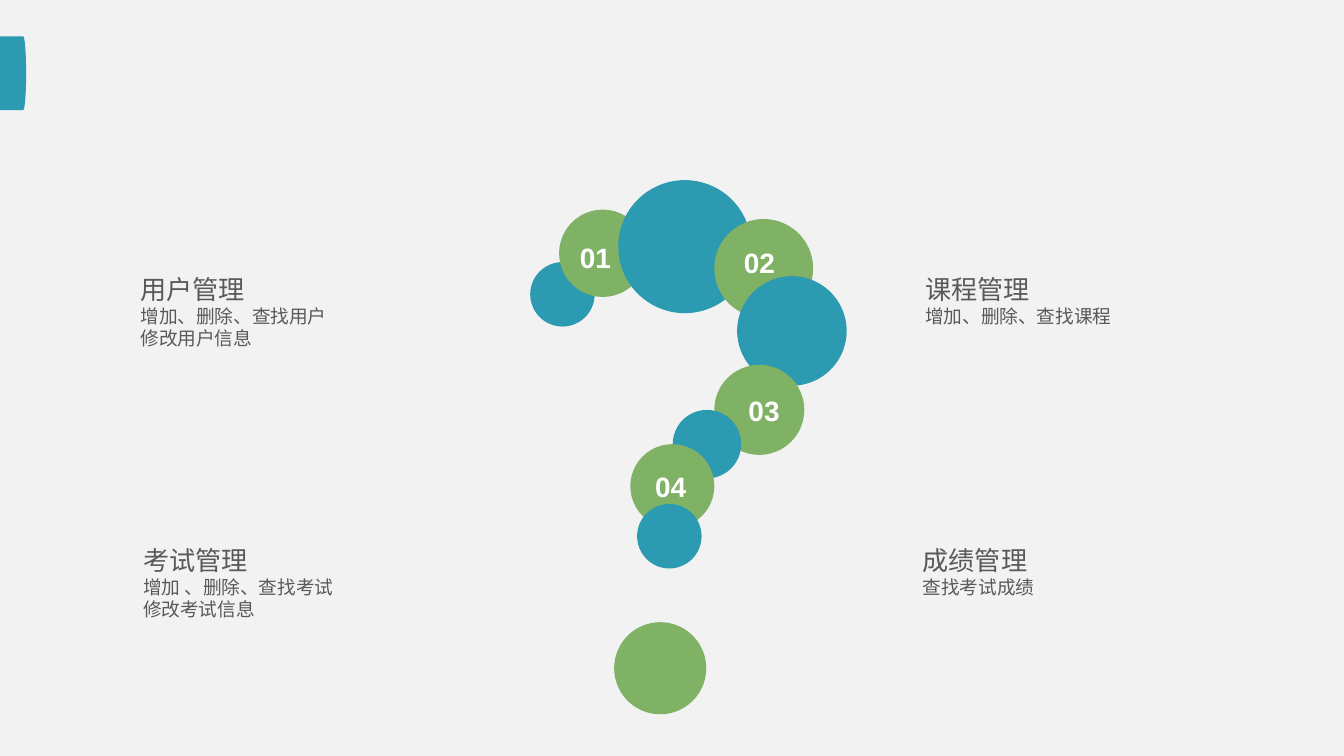
"""Build a slide with four management modules around a question mark of circles."""
import pptx
import pptx.dml.color
import pptx.enum.shapes
import pptx.enum.text
import pptx.oxml.ns
import pptx.util
from lxml import etree

THEME = {
    "background": "F2F2F2", "teal": "2C9AB1", "green": "7FB265",
    "text": "595959", "white": "FFFFFF",
    "latin": "Arial", "chinese": "Noto Sans CJK SC",
    "number": 15, "heading": 14, "body": 10,
}
SLIDE_WIDTH = pptx.util.Inches(10)
SLIDE_HEIGHT = SLIDE_WIDTH * 9 // 16
SHARE = SLIDE_WIDTH / 100

TAB = [("RECTANGLE", (0, 2.7, 1.7, 5.5)), ("OVAL", (1.5, 2.7, 0.45, 5.5))]
CIRCLES = [
    (39.45, 19.5, 4.8), (41.6, 15.6, 6.5), (46, 13.4, 9.9), (53.15, 16.3, 7.35),
    (54.85, 20.55, 8.15), (53.15, 27.15, 6.7), (50.05, 30.5, 5.1), (46.9, 33.05, 6.25),
    (47.4, 37.5, 4.8), (45.7, 46.3, 6.85),
]
NUMBER_PLACES = [(41, 17.4), (53.2, 17.8), (53.55, 28.8), (46.6, 34.45)]
NUMBER_SIZE = (6.6, 3.6)
MODULES = [
    ((9.75, 19.95, 15.5, 9.8), ["用户管理", "增加、删除、查找用户", "修改用户信息"]),
    ((67.95, 40.1, 9.9, 8.2), ["成绩管理", "查找考试成绩"]),
    ((9.95, 40.1, 16, 9.8), ["考试管理", "增加 、删除、查找考试", "修改考试信息"]),
    ((68.15, 19.95, 15.5, 9.8), ["课程管理", "增加、删除、查找课程"]),
]
MODULE_FRAME = {
    "margin_left": pptx.util.Inches(0.07), "margin_right": pptx.util.Inches(0.07),
    "margin_top": pptx.util.Inches(0.04), "margin_bottom": pptx.util.Inches(0.04),
    "word_wrap": False,
    "auto_size": pptx.enum.text.MSO_AUTO_SIZE.SHAPE_TO_FIT_TEXT,
}
NUMBER_FRAME = {
    "word_wrap": True,
    "auto_size": pptx.enum.text.MSO_AUTO_SIZE.SHAPE_TO_FIT_TEXT,
}


def color(name):
    return pptx.dml.color.RGBColor.from_string(THEME[name])


def place(box):
    return [round(value * SHARE) for value in box]


def apply(target, values):
    for name, value in values.items():
        setattr(target, name, value)


def add_filled(group, kind, box, fill):
    preset = getattr(pptx.enum.shapes.MSO_SHAPE, kind)
    shape = group.shapes.add_shape(preset, *place(box))
    shape.shadow.inherit = False
    shape.fill.solid()
    shape.fill.fore_color.rgb = color(fill)
    shape.line.fill.background()


def add_line(paragraph, text, size, font, fill, bold=False):
    run = paragraph.add_run()
    run.text = text
    apply(run.font, {"size": pptx.util.Pt(THEME[size]), "name": THEME[font], "bold": bold})
    run.font.color.rgb = color(fill)
    east_asian = etree.SubElement(run.font._element, pptx.oxml.ns.qn("a:ea"))
    east_asian.set("typeface", THEME[font])


def add_number(group, index, position):
    frame = group.shapes.add_textbox(*place(position + NUMBER_SIZE)).text_frame
    apply(frame, NUMBER_FRAME)
    paragraph = frame.paragraphs[0]
    paragraph.alignment = pptx.enum.text.PP_ALIGN.CENTER
    add_line(paragraph, f"{index:02d}", "number", "latin", "white", True)


def add_module(slide, box, lines):
    frame = slide.shapes.add_textbox(*place(box)).text_frame
    apply(frame, MODULE_FRAME)
    for index, text in enumerate(lines):
        paragraph = frame.add_paragraph() if index else frame.paragraphs[0]
        add_line(paragraph, text, "body" if index else "heading", "chinese", "text")


def main():
    presentation = pptx.Presentation()
    apply(presentation, {"slide_width": SLIDE_WIDTH, "slide_height": SLIDE_HEIGHT})
    slide = presentation.slides.add_slide(presentation.slide_layouts[6])
    slide.background.fill.solid()
    slide.background.fill.fore_color.rgb = color("background")

    tab = slide.shapes.add_group_shape()
    for kind, box in TAB:
        add_filled(tab, kind, box, "teal")

    question_mark = slide.shapes.add_group_shape()
    for index, (left, top, diameter) in enumerate(CIRCLES):
        fill = "green" if index % 2 else "teal"
        add_filled(question_mark, "OVAL", (left, top, diameter, diameter), fill)
    for index, position in enumerate(NUMBER_PLACES, start=1):
        add_number(question_mark, index, position)

    for box, lines in MODULES:
        add_module(slide, box, lines)
    presentation.save("out.pptx")


if __name__ == "__main__":
    main()
